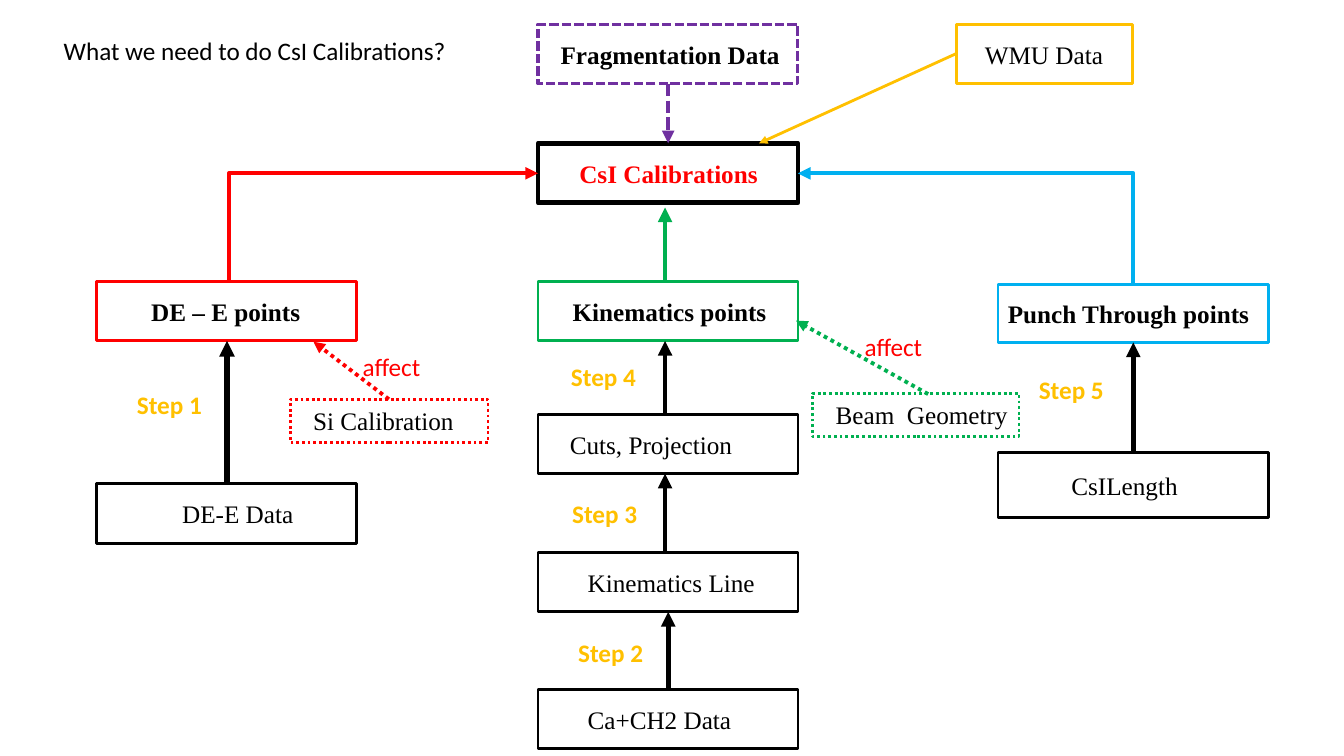
from lxml import etree
from pptx import Presentation
from pptx import util as u
from pptx.dml.color import RGBColor
from pptx.enum import dml, shapes, text
from pptx.oxml.ns import qn

BLACK, RED, GREEN, BLUE = "000000", "FF0000", "00B050", "00B0F0"
PURPLE, GOLD = "7030A0", "FFC000"
DASH, DOT = dml.MSO_LINE.SQUARE_DOT, dml.MSO_LINE.ROUND_DOT
BOX_W, BOX_H = 6.55, 1.5


def rgb(color):
    return RGBColor.from_string(color)


def style_line(line, color, width, dash=None):
    line.color.rgb = rgb(color)
    line.width = u.Pt(width)
    if dash:
        line.dash_style = dash


def write(tf, words, font, color=BLACK, bold=False):
    tf.text = words
    p = tf.paragraphs[0]
    p.alignment = text.PP_ALIGN.LEFT
    f = p.runs[0].font
    f.name, f.size, f.bold = font, u.Pt(18), bold
    f.color.rgb = rgb(color)


def add_box(s, x, y, words, indent, line=BLACK, w=BOX_W, h=BOX_H, width=2,
            dash=None, color=BLACK, bold=False):
    """Outlined box whose text starts `indent` cm from its left edge."""
    sp = s.shapes.add_shape(shapes.MSO_SHAPE.RECTANGLE,
                            u.Cm(x), u.Cm(y), u.Cm(w), u.Cm(h))
    sp.shadow.inherit = False
    sp.fill.background()
    style_line(sp.line, line, width, dash)
    tf = sp.text_frame
    tf.word_wrap = True
    tf.margin_left, tf.margin_right = u.Cm(indent), 0
    tf.vertical_anchor = text.MSO_ANCHOR.MIDDLE
    write(tf, words, "Times New Roman", color, bold)


def add_label(s, x, y, words, color, w=2.51, bold=False):
    tf = s.shapes.add_textbox(u.Cm(x), u.Cm(y), u.Cm(w), u.Cm(1.03)).text_frame
    tf.word_wrap = True
    write(tf, words, "Calibri", color, bold)


def add_step(s, x, y, number):
    add_label(s, x, y, f"Step {number}", GOLD, bold=True)


def add_arrow(s, x1, y1, x2, y2, color=BLACK, width=3.5, dash=None, bend=None):
    """Arrow to (x2, y2); `bend` places the elbow, in 1/100000 of the width."""
    kind = shapes.MSO_CONNECTOR.STRAIGHT if bend is None else shapes.MSO_CONNECTOR.ELBOW
    c = s.shapes.add_connector(kind, u.Cm(x1), u.Cm(y1), u.Cm(x2), u.Cm(y2))
    style_line(c.line, color, width, dash)
    sp_pr = c._element.spPr
    etree.SubElement(sp_pr.find(qn("a:ln")), qn("a:tailEnd"), type="triangle")
    etree.SubElement(sp_pr, qn("a:effectLst"))
    if bend is not None:
        guides = sp_pr.find(qn("a:prstGeom")).get_or_add_avLst()
        etree.SubElement(guides, qn("a:gd"), name="adj1", fmla=f"val {bend}")


def add_title(s, x, y, w, h):
    sp = s.shapes.title
    sp.left, sp.top, sp.width, sp.height = u.Cm(x), u.Cm(y), u.Cm(w), u.Cm(h)
    tf = sp.text_frame
    write(tf, "What we need to do CsI Calibrations?", "Calibri")
    tf.auto_size = text.MSO_AUTO_SIZE.NONE
    tf.vertical_anchor = text.MSO_ANCHOR.TOP
    tf.word_wrap = True


def add_goal(s, x, y):
    """The calibration box and the two data sources above it."""
    goal_y, mid = y + 3, x + 3.28
    add_box(s, x, y, "Fragmentation Data", 0.57, PURPLE, width=2.25,
            dash=DASH, bold=True)
    add_box(s, x, goal_y, "CsI Calibrations", 1.04, width=3.25, color=RED, bold=True)
    add_box(s, x + 10.54, y, "WMU Data", 0.72, GOLD, w=4.45)
    add_arrow(s, mid, y + BOX_H, mid, goal_y, PURPLE, 3, DASH)
    add_arrow(s, x + 10.54, y + 0.74, x + 5.57, goal_y, GOLD, 2)


def add_de_e_branch(s, x, y, goal_x, goal_y):
    mid = x + 3.28
    add_box(s, x, y, "DE – E points", 1.37, RED, bold=True)
    add_box(s, x, y + 5.1, "DE-E Data", 2.15)
    add_arrow(s, mid, y + 5.1, mid, y + BOX_H, width=3.75)
    add_arrow(s, mid, y, goal_x, goal_y, RED, 3, bend=700)
    add_step(s, x + 0.76, y + 2.59, 1)
    add_box(s, x + 4.88, y + 2.97, "Si Calibration", 0.57, RED, 4.98, 1.09, dash=DOT)
    add_arrow(s, x + 7.36, y + 2.97, x + 5.46, y + 1.52, RED, 2.75, DOT)
    add_label(s, x + 6.45, y + 1.65, "affect", RED, 3.91)


def add_kinematics_branch(s, x, y):
    mid = x + 3.2
    add_box(s, x, y, "Kinematics points", 0.87, GREEN, bold=True)
    add_arrow(s, mid, y, mid, y - 1.86, GREEN)
    stages = [  # offset, text, indent, arrow x, step number, step x, step y
        (3.35, "Cuts, Projection", 0.8, mid, 4, 0.58, 1.9),
        (6.83, "Kinematics Line", 1.25, mid, 3, 0.61, 5.33),
        (10.28, "Ca+CH2 Data", 1.25, mid + 0.08, 2, 0.76, 8.84),
    ]
    above = y
    for dy, words, indent, arrow_x, number, step_x, step_y in stages:
        add_box(s, x, y + dy, words, indent)
        add_arrow(s, arrow_x, y + dy, arrow_x, above + BOX_H)
        add_step(s, x + step_x, y + step_y, number)
        above = y + dy
    add_box(s, x + 6.91, y + 2.82, "Beam  Geometry", 0.59, GREEN, 5.21, 1.09, dash=DOT)
    add_arrow(s, x + 9.83, y + 2.84, x + 6.5, y + 0.99, GREEN, 2.75, DOT)
    add_label(s, x + 7.98, y + 1.14, "affect", RED, 3.91)


def add_punch_through_branch(s, x, y, goal_x, goal_y):
    mid = x + 3.41
    add_box(s, x, y, "Punch Through points", 0.25, BLUE, 6.81, 1.47, bold=True)
    add_box(s, x, y + 4.24, "CsILength", 1.85, w=6.81, h=1.65)
    add_arrow(s, mid, y + 4.24, mid, y + 1.47)
    add_arrow(s, mid, y, goal_x, goal_y, BLUE, 3, bend=0)
    add_step(s, x + 0.78, y + 2.16, 5)


def main():
    prs = Presentation()
    prs.slide_width, prs.slide_height = u.Cm(33.87), u.Cm(19.05)
    s = prs.slides.add_slide(prs.slide_layouts[5])
    centre_x, goal_y = 13.56, 4.37
    add_title(s, 1.35, 0.76, 10.92, 1.02)
    add_goal(s, centre_x, 0.61)
    add_de_e_branch(s, 2.44, 7.09, centre_x, goal_y)
    add_kinematics_branch(s, centre_x, 7.09)
    add_punch_through_branch(s, 25.15, 7.16, centre_x + BOX_W, goal_y)
    prs.save("out.pptx")


if __name__ == "__main__":
    main()
